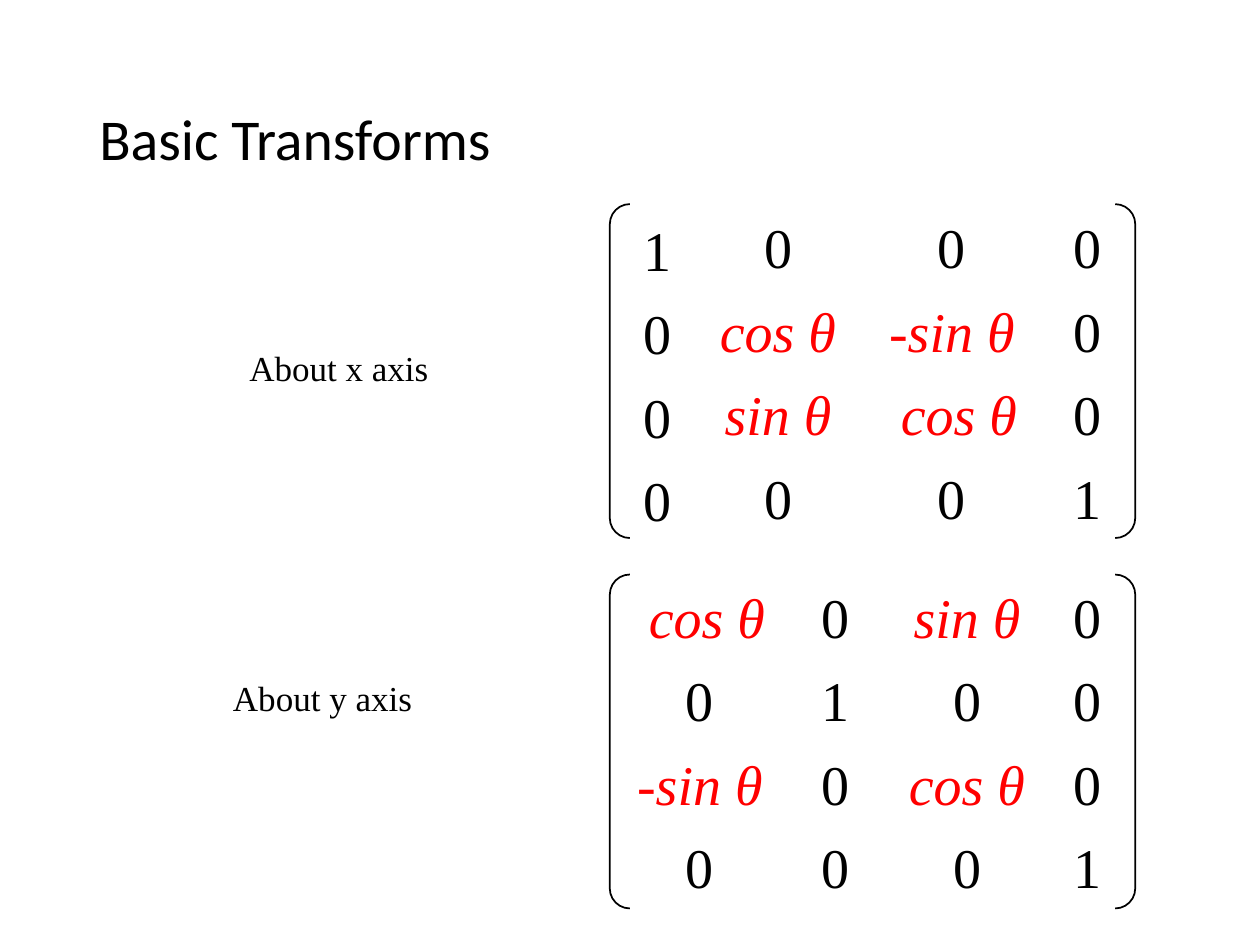
from pptx import Presentation
from pptx.dml.color import RGBColor
from pptx.enum.shapes import MSO_SHAPE as Shape
from pptx.enum.text import MSO_ANCHOR as Anchor, MSO_AUTO_SIZE as AutoSize, PP_ALIGN as Align
from pptx.util import Inches, Pt

COLORS = {"ink": "000000", "rotation": "FF0000"}
SERIF = "Times New Roman"

deck = Presentation()
deck.slide_width, deck.slide_height = Inches(10), Inches(7.5)
slide = deck.slides.add_slide(deck.slide_layouts[6])


def add_text(lines, left, top, width, height, font, size, align, frame_format):
    frame = slide.shapes.add_textbox(
        Inches(left), Inches(top), Inches(width), Inches(height)).text_frame
    for name, value in frame_format.items():
        setattr(frame, name, value)
    for row, line in enumerate(lines):
        paragraph = frame.paragraphs[0] if row == 0 else frame.add_paragraph()
        paragraph.alignment = align
        if row:
            paragraph.space_before = Pt(9.3)
        run = paragraph.add_run()
        run.text = line
        rotation = "θ" in line
        for name, value in {"name": font, "size": Pt(size), "italic": rotation}.items():
            setattr(run.font, name, value)
        run.font.color.rgb = RGBColor.from_string(COLORS["rotation" if rotation else "ink"])
    return frame


title = add_text(["Basic Transforms"], 0.69, 0.4, 8.63, 1.45, "Calibri", 33, Align.LEFT,
                 {"word_wrap": True, "vertical_anchor": Anchor.MIDDLE})
title.paragraphs[0].line_spacing = 0.9

label_format = {"word_wrap": False, "auto_size": AutoSize.SHAPE_TO_FIT_TEXT}
column_format = {"word_wrap": True, "auto_size": AutoSize.SHAPE_TO_FIT_TEXT}
column_format.update({f"margin_{side}": 0 for side in ("left", "top", "right", "bottom")})

matrices = [
    ("About x axis", 1.88, 2.7, 1.62, [
        (4.93, 1.71, 0.58, ["1", "0", "0", "0"]),
        (5.59, 1.69, 1.17, ["0", "cos θ", "sin θ", "0"]),
        (6.93, 1.69, 1.25, ["0", "-sin θ", " cos θ", "0"]),
        (8.34, 1.69, 0.58, ["0", "0", "0", "1"]),
    ]),
    ("About y axis", 1.75, 5.32, 4.56, [
        (4.93, 4.62, 1.25, [" cos θ", "0", "-sin θ", "0"]),
        (6.34, 4.62, 0.58, ["0", "1", "0", "0"]),
        (7.09, 4.62, 1.17, ["sin θ", "0", "cos θ", "0"]),
        (8.34, 4.62, 0.58, ["0", "0", "0", "1"]),
    ]),
]

for label, label_left, label_top, bracket_top, columns in matrices:
    brackets = slide.shapes.add_shape(
        Shape.DOUBLE_BRACKET, Inches(4.84), Inches(bracket_top), Inches(4.17), Inches(2.65))
    brackets.adjustments[0] = 0.06
    brackets.shadow.inherit = False
    brackets.fill.background()
    brackets.line.color.rgb = RGBColor.from_string(COLORS["ink"])
    brackets.line.width = Pt(1)
    for left, top, width, entries in columns:
        add_text(entries, left, top, width, 2.46, SERIF, 32, Align.CENTER, column_format)
    add_text([label], label_left, label_top, 1.62, 0.44, SERIF, 20, Align.CENTER, label_format)

deck.save("out.pptx")
